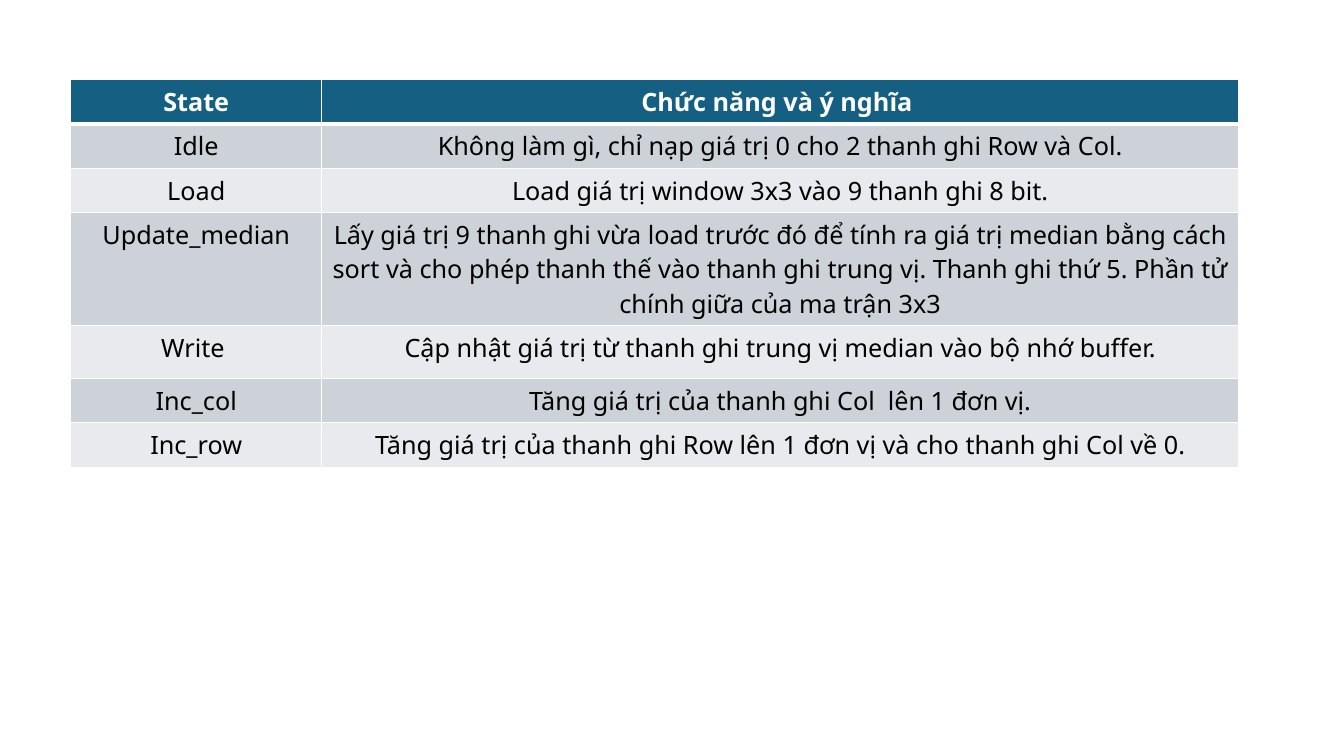
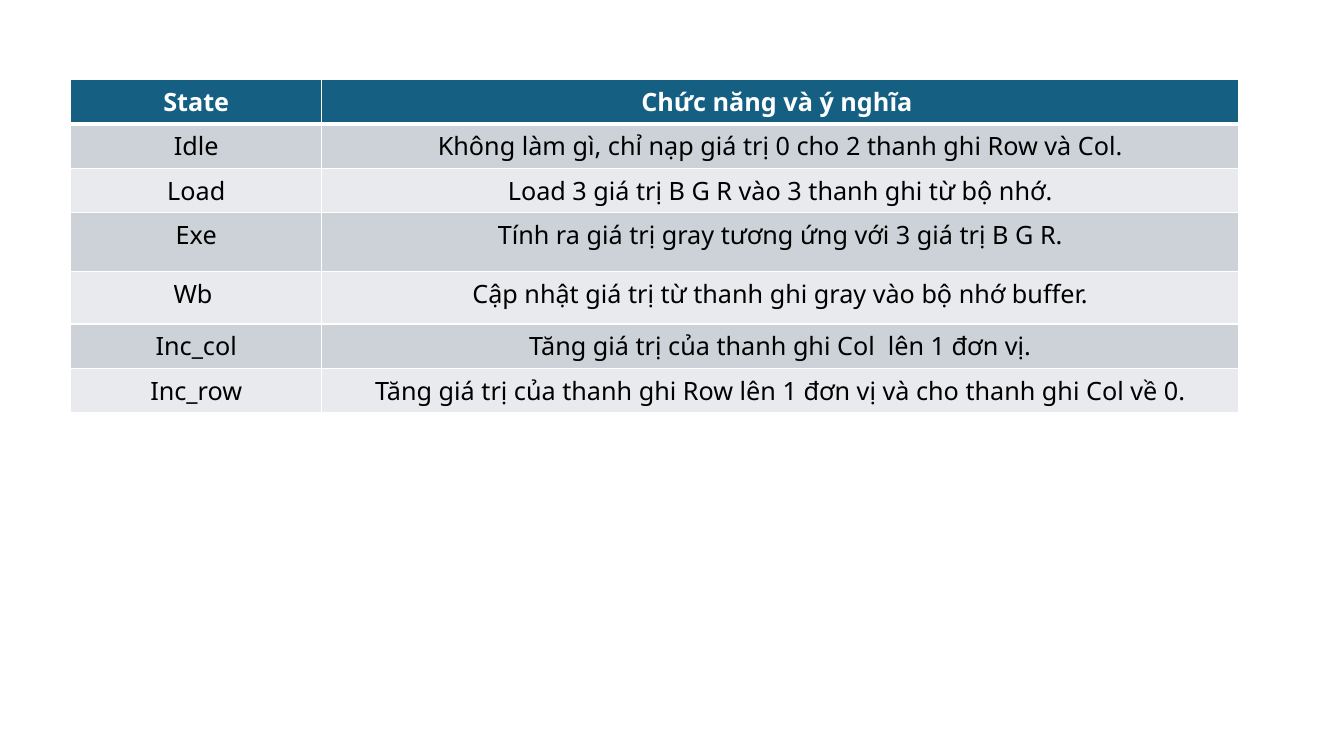
from dataclasses import dataclass

from lxml import etree
from pptx import Presentation
from pptx import util as u
from pptx.dml.color import RGBColor
from pptx.enum import text
from pptx.oxml import ns


@dataclass(frozen=True)
class Theme:
    font: str = "Noto Sans"
    size: int = 18
    header_fill: str = "156082"
    header_text: str = "FFFFFF"
    body_text: str = "000000"
    bands: tuple = ("CCD2D8", "E8EAED")
    border: str = "FFFFFF"
    thin: int = 1
    thick: int = 3


THEME = Theme()
SLIDE_W, SLIDE_H = u.Inches(13.33), u.Inches(7.5)

# Percent of the slide's width or height
LEFT, TOP = 5.25, 10.5
COLUMNS = (18.7, 68.2)
ROW, TALL_ROW, TALLEST_ROW = 5.4, 7, 7.75

HEADER = ("State", "Chức năng và ý nghĩa ", ROW)
IDLE = ("Idle", "Không làm gì, chỉ nạp giá trị 0 cho 2 thanh ghi Row và Col.", ROW)
INCREMENTS = [
    ("Inc_col", "Tăng giá trị của thanh ghi Col  lên 1 đơn vị.", ROW),
    ("Inc_row", "Tăng giá trị của thanh ghi Row lên 1 đơn vị và cho thanh ghi Col về 0.", ROW),
]
MEDIAN_STATES = [
    ("Load", "Load giá trị window 3x3 vào 9 thanh ghi 8 bit.", ROW),
    ("Update_median",
     "Lấy giá trị 9 thanh ghi vừa load trước đó để tính ra giá trị median bằng cách "
     "sort và cho phép thanh thế vào thanh ghi trung vị. Thanh ghi thứ 5. Phần tử "
     "chính giữa của ma trận 3x3", ROW),
    ("Write ", "Cập nhật giá trị từ thanh ghi trung vị median vào bộ nhớ buffer.", TALL_ROW),
]
GRAY_STATES = [
    ("Load", "Load 3 giá trị B G R vào 3 thanh ghi từ bộ nhớ.", ROW),
    ("Exe", "Tính ra giá trị gray tương ứng với 3 giá trị B G R.", TALLEST_ROW),
    ("Wb ", "Cập nhật giá trị từ thanh ghi gray vào bộ nhớ buffer.", TALL_ROW),
]


def across(percent):
    return u.Emu(round(SLIDE_W * percent / 100))


def down(percent):
    return u.Emu(round(SLIDE_H * percent / 100))


def set_borders(cell, **widths):
    """Draw the four cell borders; widths overrides the thin line by side."""
    tc_pr = cell._tc.get_or_add_tcPr()
    for i, side in enumerate("LRTB"):
        width = u.Pt(widths.get(side, THEME.thin))
        ln = etree.Element(ns.qn(f"a:ln{side}"), w=str(int(width)))
        fill = etree.SubElement(ln, ns.qn("a:solidFill"))
        etree.SubElement(fill, ns.qn("a:srgbClr"), val=THEME.border)
        tc_pr.insert(i, ln)


def write_cell(cell, words, fill, color, bold):
    cell.fill.solid()
    cell.fill.fore_color.rgb = RGBColor.from_string(fill)
    p = cell.text_frame.paragraphs[0]
    p.alignment = text.PP_ALIGN.CENTER
    r = p.add_run()
    r.text = words
    for name, value in dict(name=THEME.font, size=u.Pt(THEME.size), bold=bold).items():
        setattr(r.font, name, value)
    r.font.color.rgb = RGBColor.from_string(color)


def row_style(i):
    """Return the cell format and the border overrides of row i."""
    if i == 0:
        return dict(fill=THEME.header_fill, color=THEME.header_text, bold=True), {"B": THEME.thick}
    band = THEME.bands[(i - 1) % len(THEME.bands)]
    rule = {"T": THEME.thick} if i == 1 else {}
    return dict(fill=band, color=THEME.body_text, bold=False), rule


def add_state_table(slide, rows):
    height = sum(row[-1] for row in rows)
    table = slide.shapes.add_table(
        len(rows), len(COLUMNS), across(LEFT), down(TOP),
        across(sum(COLUMNS)), down(height)).table
    for column, width in zip(table.columns, COLUMNS):
        column.width = across(width)
    for i, (*words, row_height) in enumerate(rows):
        table.rows[i].height = down(row_height)
        style, rule = row_style(i)
        for cell, value in zip(table.rows[i].cells, words):
            write_cell(cell, value, **style)
            set_borders(cell, **rule)


def main():
    prs = Presentation()
    prs.slide_width, prs.slide_height = SLIDE_W, SLIDE_H
    for states in (MEDIAN_STATES, GRAY_STATES):
        slide = prs.slides.add_slide(prs.slide_layouts[6])
        add_state_table(slide, [HEADER, IDLE, *states, *INCREMENTS])
    prs.save("out.pptx")


if __name__ == "__main__":
    main()
